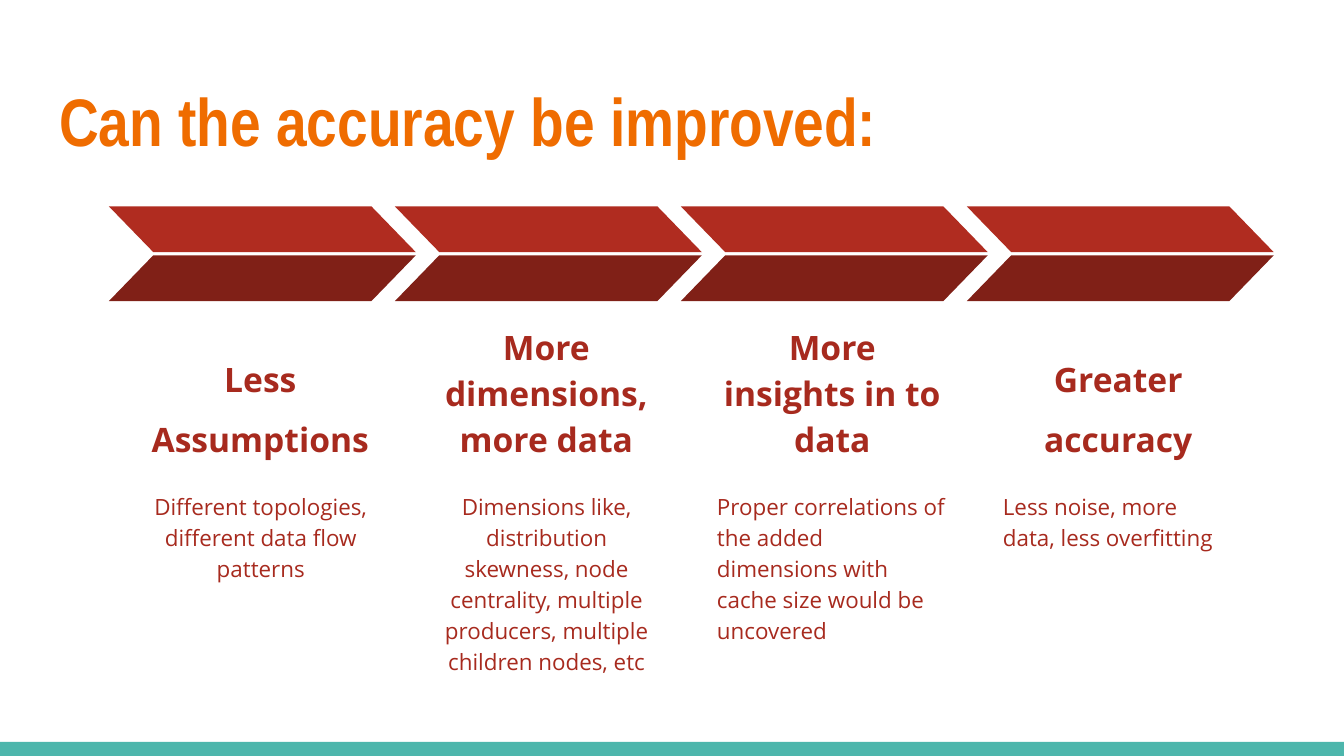
from pptx import Presentation
from pptx.dml.color import RGBColor
from pptx.enum.shapes import MSO_SHAPE
from pptx.enum.text import MSO_ANCHOR, MSO_AUTO_SIZE, PP_ALIGN
from pptx.util import Pt

LEFT, STEP = 58.4, 153.2  # first chevron and distance between stages
BODY = "Open Sans"
LIGHT, DARK, TEXT = "B02C20", "802017", "A72A1E"
MID, START = PP_ALIGN.CENTER, PP_ALIGN.LEFT

# Heading, its line spacing, detail, alignment of the detail
STAGES = [
    ("Less Assumptions", 1.5,
     "Different topologies, different data flow patterns", MID),
    ("More dimensions, more data", 1.15,
     "Dimensions like, distribution skewness, node centrality, "
     "multiple producers, multiple children nodes, etc", MID),
    ("More insights in to data", 1.15,
     "Proper correlations of the added dimensions with cache size "
     "would be uncovered", START),
    ("Greater accuracy", 1.5,
     "Less noise, more data, less overfitting", START),
]


def color(code):
    return RGBColor.from_string(code)


def place(item, x, y, w, h):
    item.left, item.top, item.width, item.height = Pt(x), Pt(y), Pt(w), Pt(h)


def write(item, text, font, size, code, bold=False, align=START,
          anchor=MSO_ANCHOR.TOP, lines=1.0, after=0):
    frame = item.text_frame
    frame.text = text
    frame.word_wrap = True
    frame.auto_size = MSO_AUTO_SIZE.NONE
    frame.vertical_anchor = anchor
    frame.margin_left = frame.margin_right = Pt(7.2)
    frame.margin_top = frame.margin_bottom = Pt(7.2)
    para = frame.paragraphs[0]
    para.alignment = align
    para.line_spacing = lines
    para.space_before, para.space_after = Pt(0), Pt(after)
    face = para.runs[0].font
    face.name, face.size, face.bold = font, Pt(size), bold
    face.color.rgb = color(code)


def add_box(parent, x, y, w, h, text, **style):
    box = parent.add_textbox(Pt(x), Pt(y), Pt(w), Pt(h))
    write(box, text, BODY, code=TEXT, **style)


def add_block(parent, kind, x, y, w, h, code):
    block = parent.add_shape(kind, Pt(x), Pt(y), Pt(w), Pt(h))
    block.shadow.inherit = False
    block.fill.solid()
    block.fill.fore_color.rgb = color(code)
    block.line.fill.background()
    return block


def add_half(parent, x, y, code, flip=False):
    half = add_block(parent, MSO_SHAPE.PARALLELOGRAM, x, y, 164.4, 24.5, code)
    half.adjustments[0] = 0.97
    if flip:
        half._element.spPr.xfrm.set("flipH", "1")


def add_stage(slide, x, head, lines, detail, align):
    group = slide.shapes.add_group_shape().shapes
    add_box(group, x + 13.8, 177.1, 134.6, 76.3, head, size=18, bold=True,
            align=MID, anchor=MSO_ANCHOR.BOTTOM, lines=lines)
    add_box(group, x + 12.2, 254.9, 138.2, 126, detail, size=12,
            align=align, lines=1.15, after=16)
    # Two mirrored halves make the chevron
    add_half(group, x, 110.6, LIGHT, flip=True)
    add_half(group, x, 136.8, DARK)


def main():
    deck = Presentation()
    deck.slide_width, deck.slide_height = Pt(720), Pt(405)
    slide = deck.slides.add_slide(deck.slide_layouts[5])

    # Footer band
    add_block(slide.shapes, MSO_SHAPE.RECTANGLE, 0, 397.5, 720, 7.5, "4DB6AC")

    # Title
    title = slide.shapes.title
    place(title, 24.5, 35.3, 672.5, 55.4)
    write(title, "Can the accuracy be improved:", "Arial Narrow", 36,
          "EF6C00", bold=True)

    # Process stages
    for index, stage in enumerate(STAGES):
        add_stage(slide, LEFT + index * STEP, *stage)

    deck.save("out.pptx")


if __name__ == "__main__":
    main()
